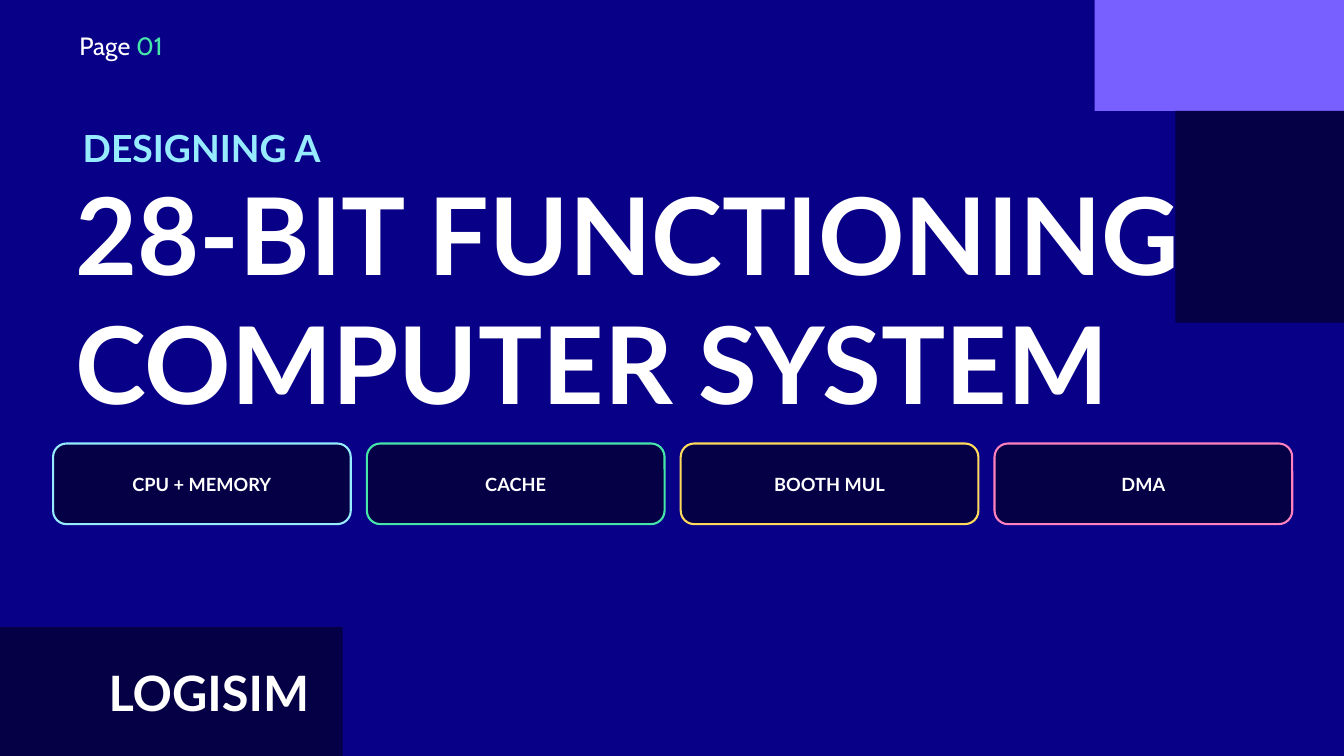
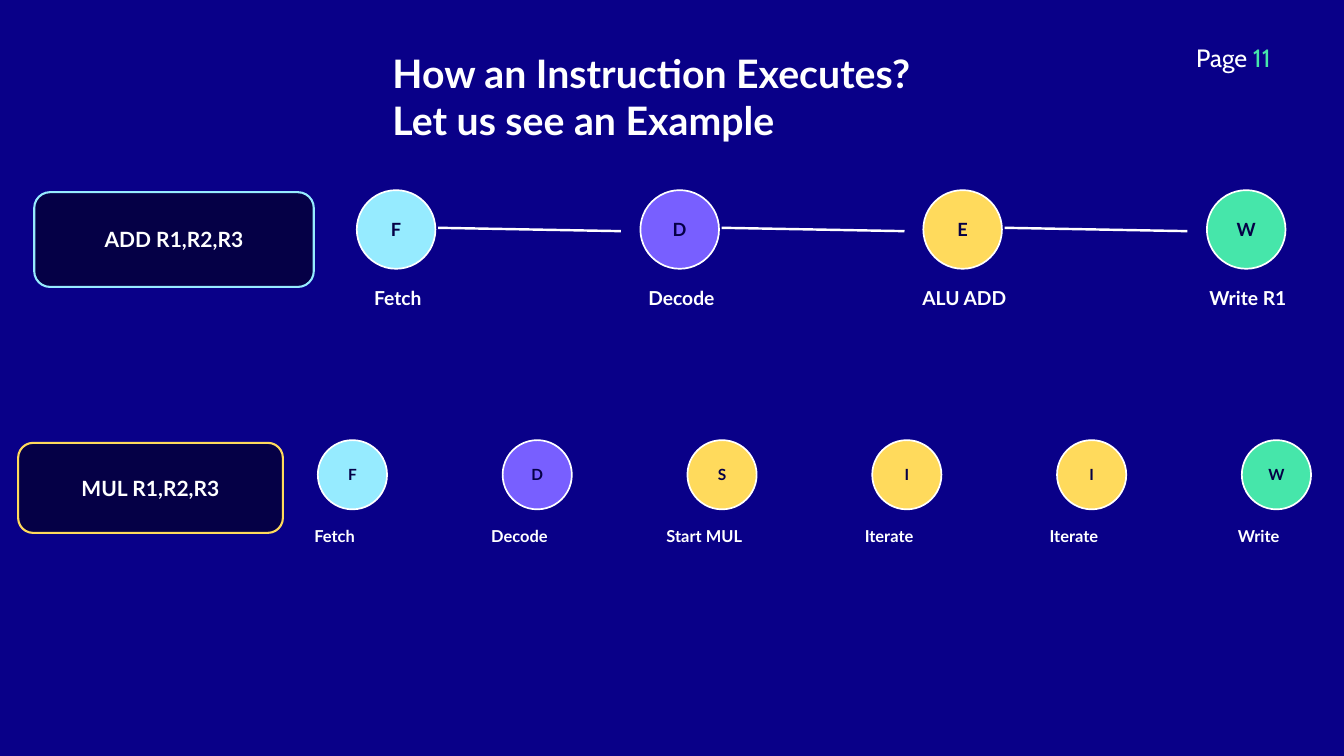
from dataclasses import dataclass

from lxml import etree
from pptx import Presentation
from pptx import util as u
from pptx.dml.color import RGBColor
from pptx.enum import shapes, text
from pptx.oxml.ns import qn

EMU_PER_PX = 9144  # 100 px to the inch
LEFT, CENTER, RIGHT = text.PP_ALIGN.LEFT, text.PP_ALIGN.CENTER, text.PP_ALIGN.RIGHT
TOP, MIDDLE = text.MSO_ANCHOR.TOP, text.MSO_ANCHOR.MIDDLE
RECT = shapes.MSO_SHAPE.RECTANGLE
CARD = shapes.MSO_SHAPE.ROUNDED_RECTANGLE
CIRCLE = shapes.MSO_SHAPE.OVAL


@dataclass(frozen=True)
class Theme:
    background: str = "090088"
    navy: str = "050046"
    white: str = "FFFFFF"
    violet: str = "785FFF"
    sky: str = "96EBFF"
    mint: str = "46E6AA"
    yellow: str = "FFDA5C"
    pink: str = "FF82BE"
    heading_font: str = "Lato"
    page_font: str = "Cabin"
    cover_size: float = 114.8
    tool_size: float = 52.2
    title_size: float = 42
    kicker_size: float = 40
    page_size: float = 26.8
    instruction_size: float = 22.5
    card_size: float = 19.5
    line_spacing: float = 1.2
    card_line: float = 2.25
    circle_line: float = 1.8
    link_line: float = 2.61


T = Theme()


@dataclass(frozen=True)
class Box:
    x: int
    y: int
    w: int
    h: int

    def emu(self) -> tuple[int, ...]:
        return tuple(px(v) for v in (self.x, self.y, self.w, self.h))


@dataclass(frozen=True)
class Stage:
    letter: str
    label: str
    color: str


@dataclass(frozen=True)
class Pipeline:
    instruction: str
    card: Box
    accent: str
    stages: tuple[Stage, ...]
    first: Box
    last_x: int
    letter_size: float
    label: Box  # x is relative to the circle
    label_size: float
    linked: bool = False


FETCH = Stage("F", "Fetch", T.sky)
DECODE = Stage("D", "Decode", T.violet)
ITERATE = Stage("I", "Iterate", T.yellow)

PIPELINES = (
    Pipeline("ADD R1,R2,R3", Box(51, 286, 416, 141), T.sky,
             (FETCH, DECODE, Stage("E", "ALU ADD", T.yellow), Stage("W", "Write R1", T.mint)),
             Box(531, 283, 117, 117), 1796, 19.5, Box(-34, 426, 190, 46), 20.6, linked=True),
    Pipeline("MUL R1,R2,R3", Box(27, 659, 394, 134), T.yellow,
             (FETCH, DECODE, Stage("S", "Start MUL", T.yellow), ITERATE, ITERATE,
              Stage("W", "Write", T.mint)),
             Box(473, 655, 103, 103), 1848, 16.5, Box(-51, 783, 152, 44), 17.6),
)

COVER_BLOCKS = (
    (Box(1629, 0, 371, 165), T.violet),
    (Box(1749, 165, 251, 315), T.navy),
    (Box(0, 933, 510, 192), T.navy),
)
TOPICS = (("CPU + MEMORY", T.sky), ("CACHE", T.mint), ("BOOTH MUL", T.yellow), ("DMA", T.pink))


def px(value: int) -> int:
    return value * EMU_PER_PX


def rgb(color: str) -> RGBColor:
    return RGBColor.from_string(color)


def write(tf, content: str, *, size: float, color: str = T.white, font: str = T.heading_font,
          bold: bool = True, align=LEFT, anchor=TOP, inset: int = 0, accent: str = "") -> None:
    """Fill a frame, one paragraph a line; accent is added at the end in mint."""
    tf.word_wrap = True
    tf.auto_size = text.MSO_AUTO_SIZE.NONE
    tf.vertical_anchor = anchor
    tf.margin_left = tf.margin_top = tf.margin_right = tf.margin_bottom = px(inset)
    tf.text = content
    for p in tf.paragraphs:
        p.alignment = align
        p.line_spacing = u.Pt(size * T.line_spacing)
        p.space_before = u.Pt(0)
    if accent:
        tf.paragraphs[-1].add_run().text = accent
    for p in tf.paragraphs:
        for r in p.runs:
            r.font.name, r.font.size, r.font.bold = font, u.Pt(size), bold
            r.font.color.rgb = rgb(T.mint if accent and r.text == accent else color)


def add_text(s, box: Box, content: str, **style) -> None:
    write(s.shapes.add_textbox(*box.emu()).text_frame, content, **style)


def add_shape(s, kind, box: Box, fill: str, line: str = "", width: float = 0):
    sp = s.shapes.add_shape(kind, *box.emu())
    sp.shadow.inherit = False
    sp.fill.solid()
    sp.fill.fore_color.rgb = rgb(fill)
    if line:
        sp.line.color.rgb = rgb(line)
        sp.line.width = u.Pt(width)
    else:
        sp.line.fill.background()
    return sp


def add_card(s, box: Box, label: str, accent: str, size: float) -> None:
    sp = add_shape(s, CARD, box, T.navy, accent, T.card_line)
    write(sp.text_frame, label, size=size, align=CENTER, anchor=MIDDLE, inset=6)


def add_link(s, x1: int, y1: int, x2: int, y2: int) -> None:
    line = s.shapes.add_connector(shapes.MSO_CONNECTOR.STRAIGHT, px(x1), px(y1), px(x2), px(y2))
    line.line.color.rgb = rgb(T.white)
    line.line.width = u.Pt(T.link_line)
    etree.SubElement(line.element.spPr, qn("a:effectLst"))


def add_title(s, box: Box, content: str, size: float) -> None:
    """Place the title placeholder in front of what is already drawn."""
    title = s.shapes.title
    title.left, title.top, title.width, title.height = box.emu()
    write(title.text_frame, content, size=size)
    title.element.getparent().append(title.element)


def add_page_number(s, box: Box, number: str) -> None:
    add_text(s, box, "Page ", size=T.page_size, font=T.page_font, bold=False, accent=number)


def add_pipeline(s, row: Pipeline) -> None:
    add_card(s, row.card, row.instruction, row.accent, T.instruction_size)
    first, label, gaps = row.first, row.label, len(row.stages) - 1
    for i, stage in enumerate(row.stages):
        x = first.x + round((row.last_x - first.x) * i / gaps)
        sp = add_shape(s, CIRCLE, Box(x, first.y, first.w, first.h), stage.color,
                       T.white, T.circle_line)
        write(sp.text_frame, stage.letter, size=row.letter_size, color=T.navy,
              align=CENTER, anchor=MIDDLE, inset=6)
        add_text(s, Box(x + label.x, label.y, label.w, label.h), stage.label,
                 size=row.label_size, align=CENTER)
        if row.linked and i < gaps:
            add_link(s, x + 121, first.y + 56, x + 393, first.y + 61)


def new_slide(prs):
    s = prs.slides.add_slide(prs.slide_layouts[5])
    s.background.fill.solid()
    s.background.fill.fore_color.rgb = rgb(T.background)
    return s


def build_cover(prs) -> None:
    s = new_slide(prs)
    for box, color in COVER_BLOCKS:
        add_shape(s, RECT, box, color)
    add_title(s, Box(112, 251, 1888, 381), "28-BIT FUNCTIONING\nCOMPUTER SYSTEM", T.cover_size)
    for i, (topic, accent) in enumerate(TOPICS):
        add_card(s, Box(79 + 467 * i, 660, 443, 120), topic, accent, T.card_size)
    add_text(s, Box(123, 186, 1001, 65), "DESIGNING A", size=T.kicker_size, color=T.sky)
    add_text(s, Box(98, 986, 362, 86), "LOGISIM", size=T.tool_size, align=RIGHT)
    add_page_number(s, Box(118, 45, 130, 44), "01")


def build_example(prs) -> None:
    s = new_slide(prs)
    add_title(s, Box(584, 73, 1150, 140),
              "How an Instruction Executes?\nLet us see an Example", T.title_size)
    for row in PIPELINES:
        add_pipeline(s, row)
    add_page_number(s, Box(1780, 63, 140, 44), "11")


def main() -> None:
    prs = Presentation()
    prs.slide_width, prs.slide_height = px(2000), px(1125)
    build_cover(prs)
    build_example(prs)
    prs.save("out.pptx")


if __name__ == "__main__":
    main()
